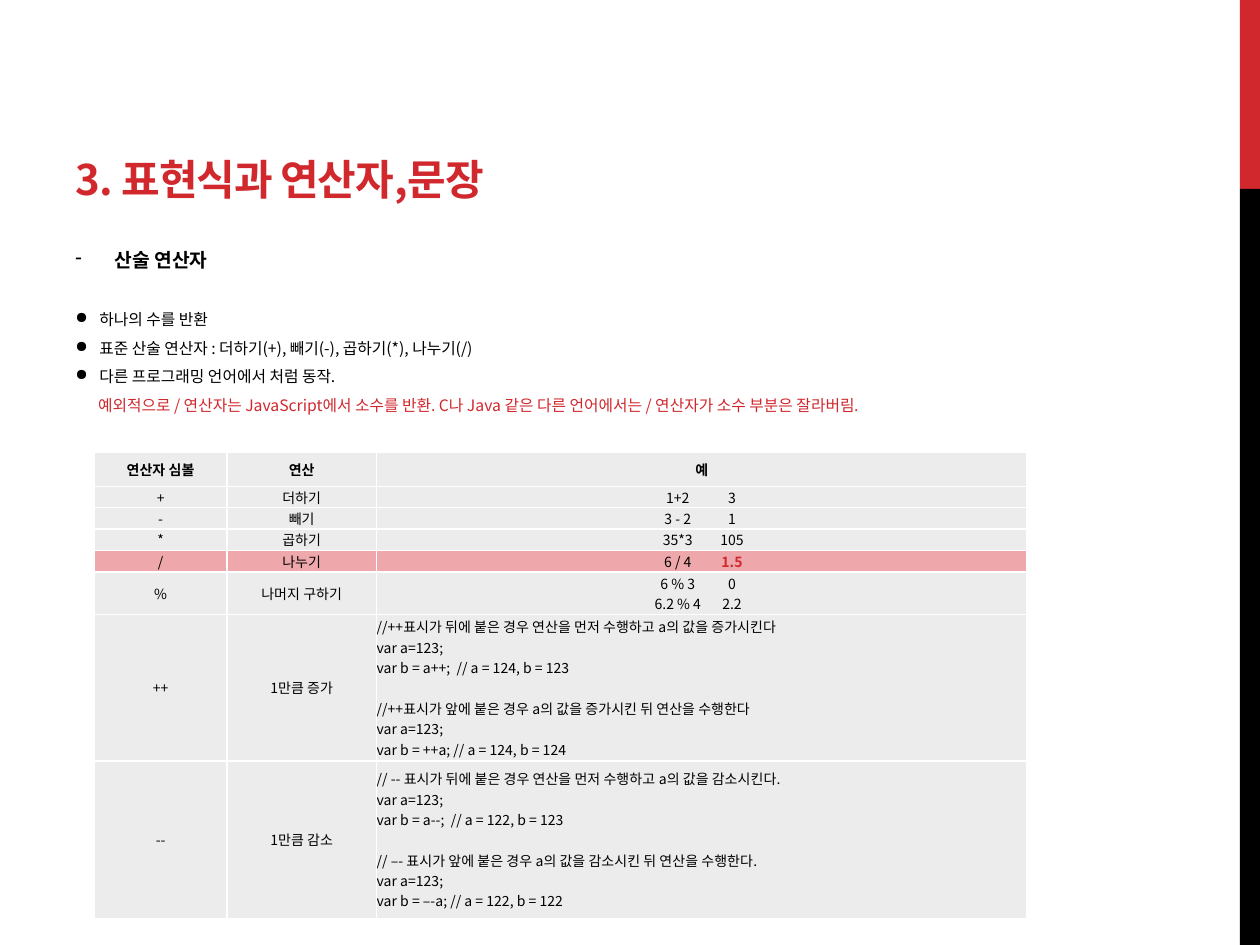
from lxml import etree
from pptx import Presentation
from pptx.dml.color import RGBColor
from pptx.enum.shapes import MSO_SHAPE
from pptx.enum.text import MSO_ANCHOR, PP_ALIGN
from pptx.oxml.ns import qn
from pptx.util import Inches, Pt

RECT = MSO_SHAPE.RECTANGLE
LEFT, CENTER = PP_ALIGN.LEFT, PP_ALIGN.CENTER
MIDDLE, BOTTOM = MSO_ANCHOR.MIDDLE, MSO_ANCHOR.BOTTOM
FONT = "Noto Sans CJK KR"
COLORS = {"red": "D1282E", "black": "000000", "white": "FFFFFF",
          "cell": "ECECEC", "highlight": "EEA7AA"}

BULLETS = [
    "하나의 수를 반환",
    "표준 산술 연산자 : 더하기(+), 빼기(-), 곱하기(*), 나누기(/)",
    "다른 프로그래밍 언어에서 처럼 동작.",
]
EXCEPTION = ("예외적으로 / 연산자는 JavaScript에서 소수를 반환. "
             "C나 Java 같은 다른 언어에서는 / 연산자가 소수 부분은 잘라버림.")

COLUMN_WIDTHS = [1.05, 1.19, 5.16]
ROW_HEIGHTS = [0.27, 0.17, 0.17, 0.17, 0.17, 0.34, 1.16, 1.25]
HEADERS = ["연산자 심볼", "연산", "예"]
# symbol, operation, (expression, result) pairs
ARITHMETIC = [
    ("+", "더하기", [("1+2", "3")]),
    ("-", "빼기", [("3 - 2", "1")]),
    ("*", "곱하기", [("35*3", "105")]),
    ("/", "나누기", [("6 / 4", "1.5")]),
    ("%", "나머지 구하기", [("6 % 3", "0"), ("6.2 % 4", "2.2")]),
]
# symbol, operation, code snippets
STEPS = [
    ("++", "1만큼 증가", [
        ["//++표시가 뒤에 붙은 경우 연산을 먼저 수행하고 a의 값을 증가시킨다",
         "var a=123;", "var b = a++;  // a = 124, b = 123"],
        ["//++표시가 앞에 붙은 경우 a의 값을 증가시킨 뒤 연산을 수행한다",
         "var a=123;", "var b = ++a; // a = 124, b = 124"]]),
    ("--", "1만큼 감소", [
        ["// -- 표시가 뒤에 붙은 경우 연산을 먼저 수행하고 a의 값을 감소시킨다.",
         "var a=123;", "var b = a--;  // a = 122, b = 123"],
        ["// –- 표시가 앞에 붙은 경우 a의 값을 감소시킨 뒤 연산을 수행한다.",
         "var a=123;", "var b = –-a; // a = 122, b = 122"]]),
]


def rgb(name):
    return RGBColor.from_string(COLORS[name])


def add_run(paragraph, text, size, color="black", bold=False):
    run = paragraph.add_run()
    run.text = text
    formats = {"size": Pt(size), "bold": bold, "name": FONT}
    for attribute, value in formats.items():
        setattr(run.font, attribute, value)
    run.font.color.rgb = rgb(color)
    latin = run.font._element.find(qn("a:latin"))
    latin.addnext(etree.Element(qn("a:ea"), typeface=FONT))
    return run


def next_paragraph(frame):
    """Return the first paragraph while it is empty, then new ones."""
    first = frame.paragraphs[0]
    return frame.add_paragraph() if first.runs else first


def set_indent(paragraph, margin, hanging=0, bullet=None):
    properties = paragraph._p.get_or_add_pPr()
    properties.set("marL", str(Inches(margin)))
    properties.set("indent", str(-Inches(hanging)))
    if bullet:
        etree.SubElement(properties, qn("a:buChar"), char=bullet)


def add_center_tabs(paragraph, positions):
    tabs = etree.SubElement(paragraph._p.get_or_add_pPr(), qn("a:tabLst"))
    for position in positions:
        etree.SubElement(tabs, qn("a:tab"), pos=str(Inches(position)), algn="ctr")


def add_side_bar(slide, left, top, width, height):
    red_height = height / 5
    bands = [("red", top, red_height),
             ("black", top + red_height, height - red_height)]
    for color, band_top, band_height in bands:
        band = slide.shapes.add_shape(RECT, Inches(left), Inches(band_top),
                                      Inches(width), Inches(band_height))
        band.shadow.inherit = False
        band.fill.solid()
        band.fill.fore_color.rgb = rgb(color)
        band.line.fill.background()


def set_title(slide, left, top, width, height):
    title = slide.shapes.title
    box = {"left": left, "top": top, "width": width, "height": height}
    for attribute, value in box.items():
        setattr(title, attribute, Inches(value))
    title.text_frame.vertical_anchor = BOTTOM
    heading = title.text_frame.paragraphs[0]
    heading.alignment = LEFT
    run = add_run(heading, "3. 표현식과 연산자,문장", 24, "red", True)
    run.font._element.set("spc", "-60")


def add_body(slide, left, top, width, height):
    frame = slide.shapes.add_textbox(Inches(left), Inches(top),
                                     Inches(width), Inches(height)).text_frame
    frame.word_wrap = True

    topic = next_paragraph(frame)
    set_indent(topic, 0.31, 0.31, "-")
    topic.space_after = Pt(22)
    add_run(topic, "산술 연산자", 11, bold=True)

    for text in BULLETS:
        point = next_paragraph(frame)
        set_indent(point, 0.19, 0.19, "●")
        point.space_after = Pt(5.5)
        add_run(point, text, 9)

    exception = next_paragraph(frame)
    set_indent(exception, 0.18)
    add_run(exception, EXCEPTION, 9, "red")


def set_borders(cell):
    properties = cell._tc.get_or_add_tcPr()
    for index, side in enumerate(("lnL", "lnR", "lnT", "lnB")):
        line = etree.Element(qn(f"a:{side}"), w=str(Pt(1)))
        fill = etree.SubElement(line, qn("a:solidFill"))
        etree.SubElement(fill, qn("a:srgbClr"), val=COLORS["white"])
        properties.insert(index, line)


def write_label(cell, text, bold=False):
    label = cell.text_frame.paragraphs[0]
    label.alignment = CENTER
    add_run(label, text, 8, bold=bold)


def write_examples(cell, examples, highlighted):
    for expression, result in examples:
        example = next_paragraph(cell.text_frame)
        example.alignment = LEFT
        add_center_tabs(example, (2.39, 2.82))
        add_run(example, f"\t{expression}\t", 8)
        add_run(example, result, 8, "red" if highlighted else "black", highlighted)


def write_code(cell, snippets):
    for number, snippet in enumerate(snippets):
        for index, text in enumerate(snippet):
            code = next_paragraph(cell.text_frame)
            code.alignment = LEFT
            if number and not index:
                code.space_before = Pt(11.6)
            add_run(code, text, 8)


def add_operator_table(slide, left, top):
    table = slide.shapes.add_table(
        len(ROW_HEIGHTS), len(COLUMN_WIDTHS), Inches(left), Inches(top),
        Inches(sum(COLUMN_WIDTHS)), Inches(sum(ROW_HEIGHTS))).table
    table.first_row = table.horz_banding = False
    for column, width in zip(table.columns, COLUMN_WIDTHS):
        column.width = Inches(width)

    # Cell format
    symbols = [None] + [row[0] for row in ARITHMETIC + STEPS]
    for row, height, symbol in zip(table.rows, ROW_HEIGHTS, symbols):
        row.height = Inches(height)
        for cell in row.cells:
            for side in ("left", "right", "top", "bottom"):
                setattr(cell, f"margin_{side}", 0)
            cell.vertical_anchor = MIDDLE
            cell.fill.solid()
            cell.fill.fore_color.rgb = rgb("highlight" if symbol == "/" else "cell")
            set_borders(cell)

    # Cell text
    for column, header in enumerate(HEADERS):
        write_label(table.cell(0, column), header, bold=True)
    for row, (symbol, operation, content) in enumerate(ARITHMETIC + STEPS, 1):
        write_label(table.cell(row, 0), symbol)
        write_label(table.cell(row, 1), operation)
        if row <= len(ARITHMETIC):
            write_examples(table.cell(row, 2), content, symbol == "/")
        else:
            write_code(table.cell(row, 2), content)


def main():
    deck = Presentation()
    deck.slide_width, deck.slide_height = Inches(10), Inches(7.5)
    slide = deck.slides.add_slide(deck.slide_layouts[5])
    add_side_bar(slide, 9.84, 0, 0.16, 7.5)
    add_body(slide, 0.5, 1.92, 8.33, 5.33)
    set_title(slide, 0.5, 0.17, 8.36, 1.5)
    add_operator_table(slide, 0.75, 3.59)
    deck.save("out.pptx")


if __name__ == "__main__":
    main()
